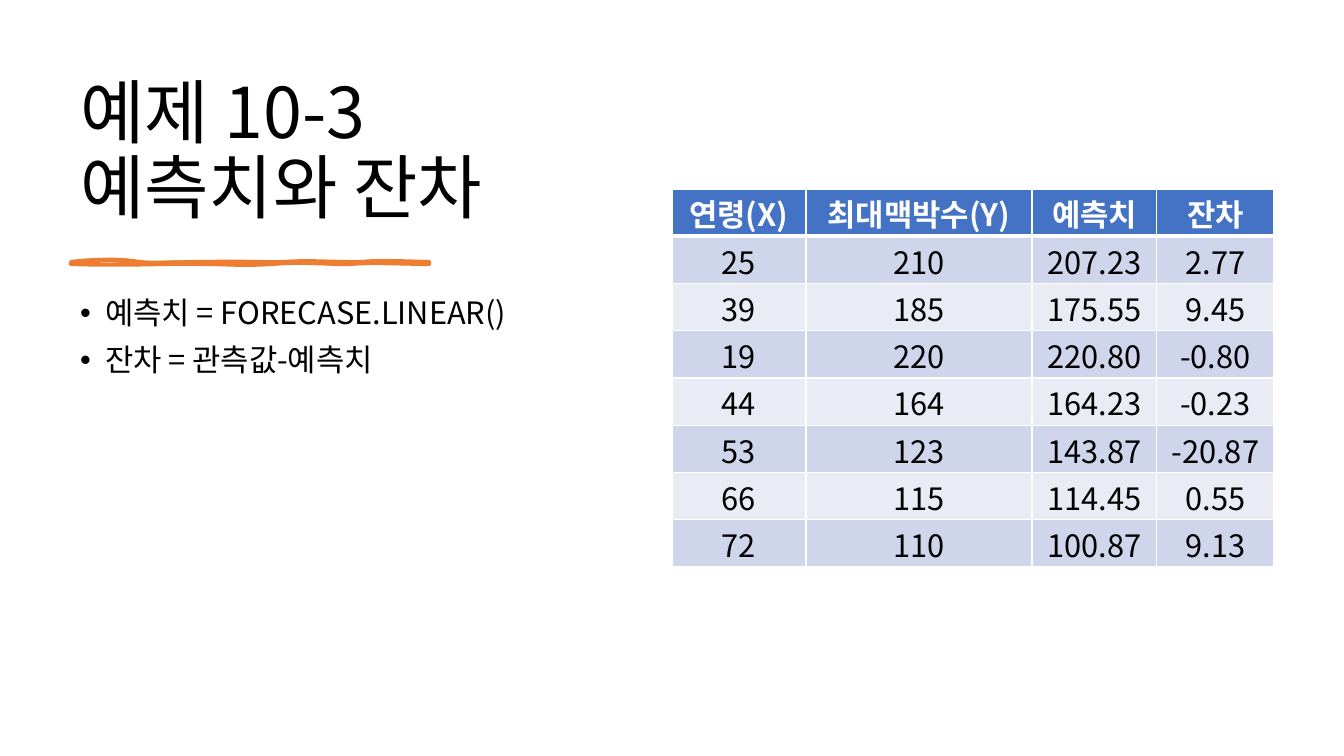
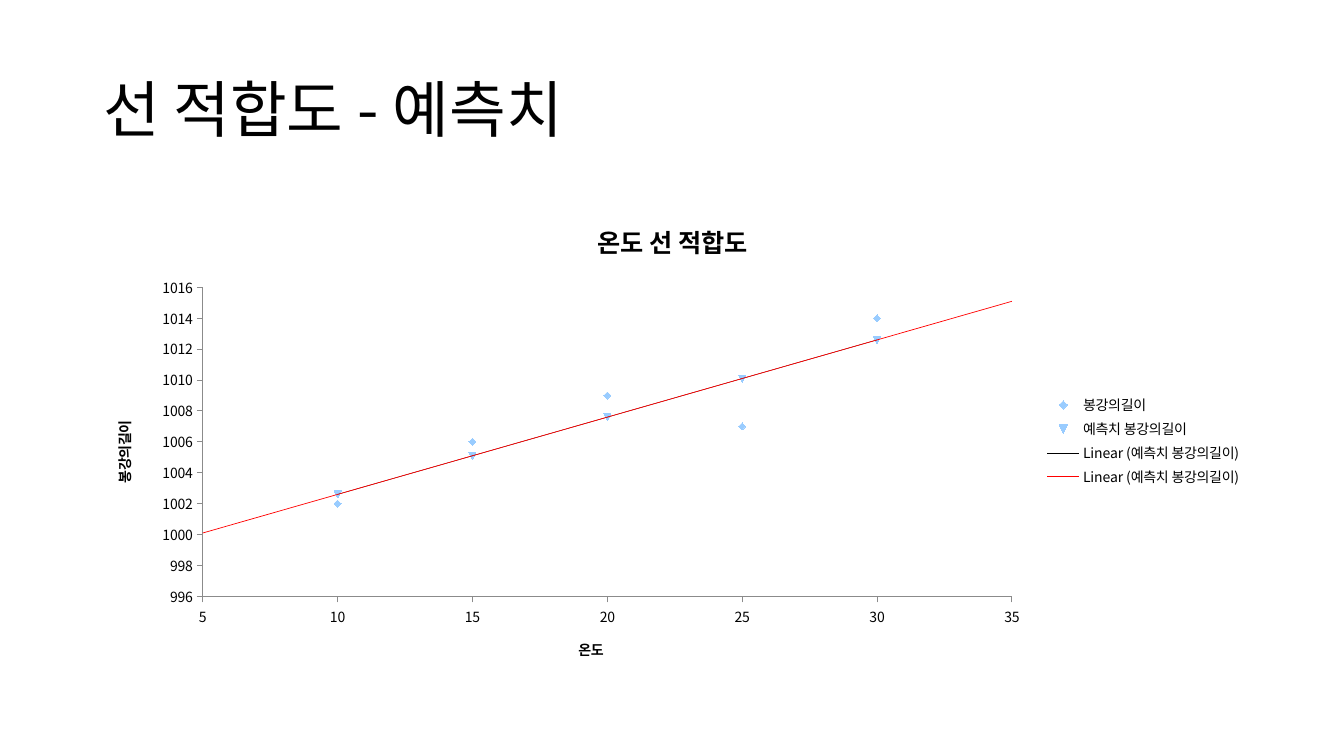
from lxml import etree
from pptx import Presentation
from pptx.chart.data import XyChartData
from pptx.dml.color import RGBColor
from pptx.enum.chart import XL_CHART_TYPE, XL_LEGEND_POSITION, XL_MARKER_STYLE, XL_TICK_MARK
from pptx.enum.text import MSO_ANCHOR, MSO_AUTO_SIZE, PP_ALIGN
from pptx.oxml import parse_xml
from pptx.oxml.ns import nsdecls, qn
from pptx.util import Emu, Pt

SCATTER = XL_CHART_TYPE.XY_SCATTER
LEGEND_RIGHT = XL_LEGEND_POSITION.RIGHT
DIAMOND, AUTOMATIC = XL_MARKER_STYLE.DIAMOND, XL_MARKER_STYLE.AUTOMATIC
TICK_OUTSIDE = XL_TICK_MARK.OUTSIDE
MIDDLE, BOTTOM = MSO_ANCHOR.MIDDLE, MSO_ANCHOR.BOTTOM
NO_AUTOFIT = MSO_AUTO_SIZE.NONE
LEFT, CENTER = PP_ALIGN.LEFT, PP_ALIGN.CENTER

EMU_PER_PX = 914400 / 100.8
SLIDE_SIZE = (1344, 756)
FONT = "Noto Sans CJK KR"
COLORS = {
    "text": "000000", "white": "FFFFFF", "header": "4472C4",
    "band_dark": "CFD5EA", "band_light": "E9EBF5", "accent": "ED7D31",
    "marker": "99CCFF", "axis": "8B8B8B", "fit": "000000", "extended_fit": "FF0000",
}

EXAMPLE_TITLE = "예제 10-3 예측치와 잔차"
FORMULAS = ["예측치 = FORECASE.LINEAR()", "잔차 = 관측값-예측치"]
COLUMNS = [("연령(X)", 134), ("최대맥박수(Y)", 226), ("예측치", 125), ("잔차", 117)]
RESIDUALS = [
    ("25", "210", "207.23", "2.77"),
    ("39", "185", "175.55", "9.45"),
    ("19", "220", "220.80", "-0.80"),
    ("44", "164", "164.23", "-0.23"),
    ("53", "123", "143.87", "-20.87"),
    ("66", "115", "114.45", "0.55"),
    ("72", "110", "100.87", "9.13"),
]

# Brush stroke: Bezier segments (two controls, end) relative to its corner
STROKE_BOX = (71, 262, 358, 2)
STROKE_OUTLINE = [
    ((27, -3), (51, -3), (68, 0)), ((85, 2), (107, 0), (140, 0)),
    ((172, -1), (191, 1), (215, 0)), ((239, -2), (271, 1), (291, 0)),
    ((311, -2), (344, 0), (358, 0)), ((358, 0), (358, 1), (358, 2)),
    ((340, 2), (296, 0), (280, 2)), ((264, 3), (235, -1), (201, 2)),
    ((166, 4), (162, 2), (130, 2)), ((96, 1), (62, 4), (0, 2)),
    ((0, 1), (0, 0), (0, 0)),
]
STROKE_BODY = [
    ((32, 2), (40, 0), (68, 0)), ((96, -1), (99, -3), (130, 0)),
    ((159, 2), (192, 1), (208, 0)), ((224, -2), (259, 2), (276, 0)),
    ((294, -3), (329, 3), (358, 0)), ((358, 0), (358, 1), (358, 2)),
    ((344, 1), (304, 4), (287, 2)), ((270, -1), (241, 2), (208, 2)),
    ((175, 1), (171, 0), (147, 2)), ((124, 3), (109, 1), (75, 2)),
    ((41, 2), (22, 1), (0, 2)), ((0, 1), (0, 0), (0, 0)),
]

FIT_TITLE = "선 적합도 - 예측치"
CHART_TITLE = "온도 선 적합도"
TEMPERATURES = [10, 15, 20, 25, 30]
LENGTH_SERIES = [
    ("봉강의길이", [1002, 1006, 1009, 1007, 1014], DIAMOND),
    ("예측치 봉강의길이", [1002.6, 1005.1, 1007.6, 1010.1, 1012.6], AUTOMATIC),
]
TRENDS = [("fit", 0.25, 0), ("extended_fit", 0.5, 5)]  # colour, points, extension at both ends
AXES = {"category_axis": ("온도", 5, 35, 5), "value_axis": ("봉강의길이", 996, 1016, 2)}


def px(length):
    return Emu(round(length * EMU_PER_PX))


def color(name):
    return RGBColor.from_string(COLORS[name])


def style(font, size, color_name="text", bold=False):
    font.name, font.size, font.bold = FONT, Pt(size), bold
    font.color.rgb = color(color_name)


def write(paragraph, text, size, color_name="text", bold=False):
    run = paragraph.add_run()
    run.text = text
    style(run.font, size, color_name, bold)


def place(shape, box):
    shape.left, shape.top, shape.width, shape.height = map(px, box)


def add_titled_slide(prs, layout_index, title, box, size, anchor):
    slide = prs.slides.add_slide(prs.slide_layouts[layout_index])
    place(slide.shapes.title, box)
    frame = slide.shapes.title.text_frame
    frame.auto_size, frame.vertical_anchor = NO_AUTOFIT, anchor
    paragraph = frame.paragraphs[0]
    paragraph.alignment, paragraph.line_spacing = LEFT, 0.9
    write(paragraph, title, size)
    return slide


def curved_path(segments, switch):
    """Closed path of Bezier segments; switch turns its fill or stroke off."""
    def point(x, y):
        return f'<a:pt x="{px(x)}" y="{px(y)}"/>'

    curves = "".join(
        f'<a:cubicBezTo>{"".join(point(*knot) for knot in segment)}</a:cubicBezTo>'
        for segment in segments)
    width, height = map(px, STROKE_BOX[2:])
    return parse_xml(
        f'<a:path {nsdecls("a")} w="{width}" h="{height}" {switch}>'
        f'<a:moveTo>{point(0, 0)}</a:moveTo>{curves}<a:close/></a:path>')


def add_underline(slide):
    left, top, width, height = map(px, STROKE_BOX)
    builder = slide.shapes.build_freeform(left, top)
    builder.add_line_segments([(left + width, top), (left + width, top + height)], close=True)
    stroke = builder.convert_to_shape()
    stroke.shadow.inherit = False
    stroke.fill.solid()
    stroke.fill.fore_color.rgb = color("accent")
    stroke.line.color.rgb = color("accent")
    stroke.line.width = Pt(3)
    paths = next(stroke.element.iter(qn("a:pathLst")))
    paths[:] = [curved_path(STROKE_OUTLINE, 'fill="none"'), curved_path(STROKE_BODY, 'stroke="0"')]


def fill_formulas(body):
    place(body, (70, 293, 531, 391))
    frame = body.text_frame
    frame.auto_size = NO_AUTOFIT
    for index, formula in enumerate(FORMULAS):
        paragraph = frame.add_paragraph() if index else frame.paragraphs[0]
        properties = paragraph._p.get_or_add_pPr()
        properties.set("marL", str(px(25)))
        properties.set("indent", str(-px(25)))
        etree.SubElement(properties, qn("a:buFont")).set("typeface", "Arial")
        etree.SubElement(properties, qn("a:buChar")).set("char", "•")
        paragraph.line_spacing = 0.9
        paragraph.space_before = Pt(10 if index else 0)
        write(paragraph, formula, 22)


def set_borders(cell, row):
    widths = {"L": 1, "R": 1, "T": 3 if row == 1 else 1, "B": 3 if row == 0 else 1}
    properties = cell._tc.get_or_add_tcPr()
    for index, (side, width) in enumerate(widths.items()):
        properties.insert(index, parse_xml(
            f'<a:ln{side} {nsdecls("a")} w="{Pt(width)}"><a:solidFill>'
            f'<a:srgbClr val="{COLORS["white"]}"/></a:solidFill></a:ln{side}>'))


def add_residual_table(slide):
    names, widths = zip(*COLUMNS)
    rows = [names, *RESIDUALS]
    box = map(px, (672, 189, sum(widths), 378))
    table = slide.shapes.add_table(len(rows), len(names), *box).table
    for column, width in zip(table.columns, widths):
        column.width = px(width)
    for r, values in enumerate(rows):
        fill = "header" if r == 0 else "band_dark" if r % 2 else "band_light"
        for c, value in enumerate(values):
            cell = table.cell(r, c)
            cell.fill.solid()
            cell.fill.fore_color.rgb = color(fill)
            set_borders(cell, r)
            cell.vertical_anchor = MIDDLE
            cell.margin_left = cell.margin_right = cell.margin_top = px(2)
            cell.margin_bottom = 0
            paragraph = cell.text_frame.paragraphs[0]
            paragraph.alignment = CENTER
            write(paragraph, value, 22, "text" if r else "white", bold=r == 0)


def trendline(color_name, width, extension):
    reach = f'<c:forward val="{extension}"/><c:backward val="{extension}"/>' if extension else ""
    return parse_xml(
        f'<c:trendline {nsdecls("c", "a")}><c:spPr><a:ln w="{Pt(width)}"><a:solidFill>'
        f'<a:srgbClr val="{COLORS[color_name]}"/></a:solidFill></a:ln></c:spPr>'
        f'<c:trendlineType val="linear"/>{reach}'
        '<c:dispRSqr val="0"/><c:dispEq val="0"/></c:trendline>')


def add_fit_chart(slide):
    data = XyChartData()
    for name, lengths, _ in LENGTH_SERIES:
        series = data.add_series(name)
        for temperature, length in zip(TEMPERATURES, lengths):
            series.add_data_point(temperature, length)
    box = map(px, (93, 201, 1159, 480))
    chart = slide.shapes.add_chart(SCATTER, *box, data).chart
    style(chart.font, 10)
    chart.has_title = True
    write(chart.chart_title.text_frame.paragraphs[0], CHART_TITLE, 18, bold=True)
    chart.has_legend = True
    chart.legend.position = LEGEND_RIGHT
    chart.legend.include_in_layout = False

    plot = chart.plots[0]
    plot.vary_by_categories = False
    for series, (_, _, symbol) in zip(plot.series, LENGTH_SERIES):
        series.format.line.fill.background()
        series.marker.style, series.marker.size = symbol, 5
        series.marker.format.fill.solid()
        series.marker.format.fill.fore_color.rgb = color("marker")
        series.marker.format.line.fill.background()
    predicted_x = list(chart.element.iter(qn("c:xVal")))[-1]
    for trend in TRENDS:
        predicted_x.addprevious(trendline(*trend))

    for axis_name, (title, low, high, step) in AXES.items():
        axis = getattr(chart, axis_name)
        axis.minimum_scale, axis.maximum_scale, axis.major_unit = low, high, step
        axis.has_major_gridlines = False
        axis.major_tick_mark = TICK_OUTSIDE
        axis.format.line.color.rgb = color("axis")
        write(axis.axis_title.text_frame.paragraphs[0], title, 10, bold=True)


def main():
    prs = Presentation()
    prs.slide_width, prs.slide_height = map(px, SLIDE_SIZE)

    example = add_titled_slide(prs, 1, EXAMPLE_TITLE, (70, 71, 531, 163), 50, BOTTOM)
    add_underline(example)
    fill_formulas(example.placeholders[1])
    add_residual_table(example)

    fit = add_titled_slide(prs, 5, FIT_TITLE, (93, 40, 1159, 146), 44, MIDDLE)
    add_fit_chart(fit)
    prs.save("out.pptx")


if __name__ == "__main__":
    main()
